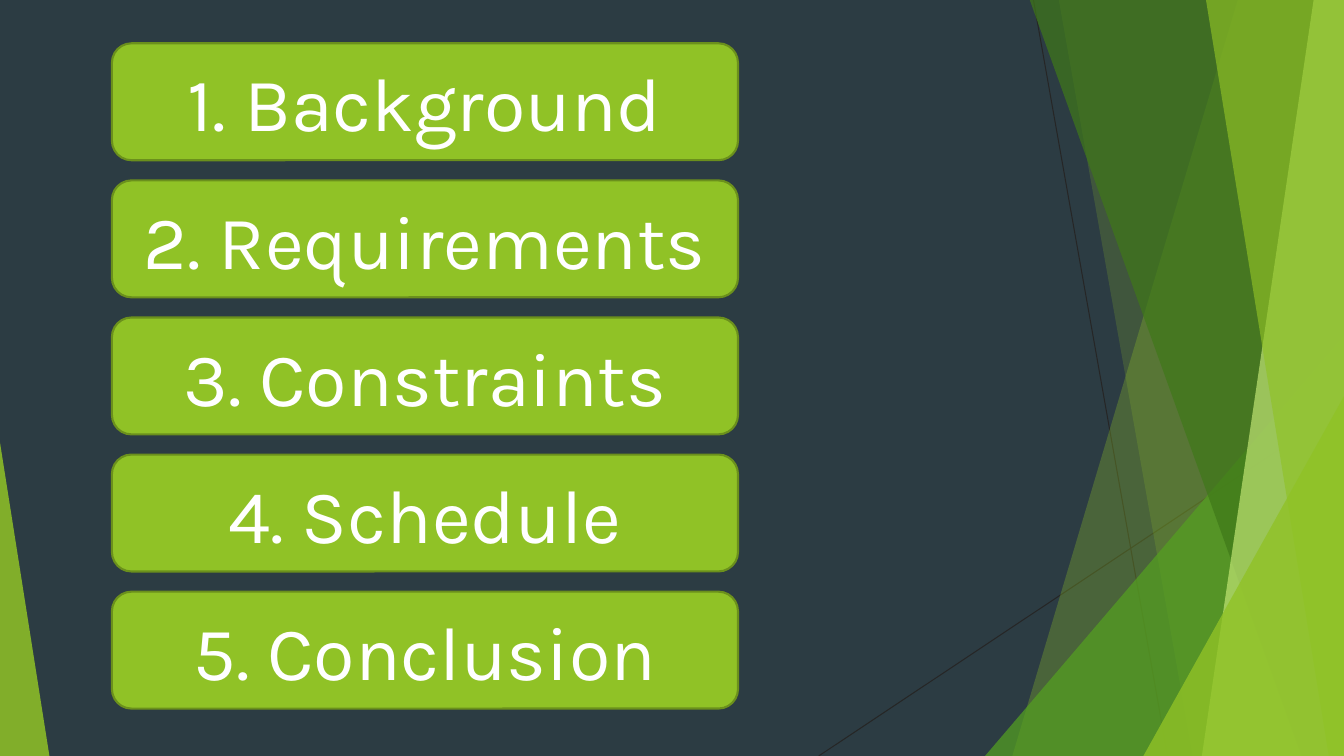
from lxml import etree
from pptx import Presentation
from pptx.dml.color import RGBColor
from pptx.enum import shapes, text
from pptx.oxml import ns
from pptx.util import Inches, Pt

COLORS = {
    "background": "2C3C43",
    "hairline": "262626",
    "lime": "90C226",
    "green": "54A021",
    "forest": "3F7819",
    "pale": "C0E474",
    "border": "6B901C",
    "text": "FFFFFF",
}
WIDTH, HEIGHT = 13.33, 7.5
BAND_TOP = -0.01


def color(name):
    return RGBColor.from_string(COLORS[name])


def fill_translucent(shape, name, opacity):
    """Give a borderless, shadowless fill with the opacity in percent."""
    shape.shadow.inherit = False
    shape.line.fill.background()
    shape.fill.solid()
    shape.fill.fore_color.rgb = color(name)
    rgb = shape.fill._xPr.find(".//" + ns.qn("a:srgbClr"))
    etree.SubElement(rgb, ns.qn("a:alpha"), val=str(opacity * 1000))


presentation = Presentation()
presentation.slide_width = Inches(WIDTH)
presentation.slide_height = Inches(HEIGHT)
slide = presentation.slides.add_slide(presentation.slide_layouts[6])
slide.background.fill.solid()
slide.background.fill.fore_color.rgb = color("background")

# Hairlines behind the facets
for x1, y1, x2, y2 in [(10.25, 0, 11.58, HEIGHT), (WIDTH, 4.03, 8.12, HEIGHT)]:
    hairline = slide.shapes.add_connector(
        shapes.MSO_CONNECTOR.STRAIGHT, Inches(x1), Inches(y1), Inches(x2), Inches(y2))
    hairline.line.color.rgb = color("hairline")
    hairline.line.width = Pt(0.75)
    etree.SubElement(hairline._element.spPr, ns.qn("a:effectLst"))

# Facets from back to front. A band reaches from its slanted left side to the
# right edge; a triangle stands on the bottom edge with its apex at 0 or 1.
facets = [
    ("band", 12.28, 10.04, "lime", 30),
    ("band", 10.5, 11.83, "lime", 20),
    ("triangle", 9.77, 3.33, 3.56, 1, "green", 72),
    ("band", 10.21, 12.91, "forest", 70),
    ("band", 13.03, 11.92, "pale", 70),
    ("band", 11.96, 13.18, "lime", 65),
    ("triangle", 11.34, 3.93, 1.99, 1, "lime", 80),
    ("triangle", 0, 4.39, 0.49, 0, "lime", 85),
]
for kind, *geometry, fill, opacity in facets:
    if kind == "band":
        top_x, bottom_x = geometry
        builder = slide.shapes.build_freeform(Inches(top_x), Inches(BAND_TOP))
        corners = [(WIDTH, BAND_TOP), (WIDTH, HEIGHT), (bottom_x, HEIGHT)]
        builder.add_line_segments([(Inches(x), Inches(y)) for x, y in corners])
        facet = builder.convert_to_shape()
    else:
        left, top, width, apex = geometry
        facet = slide.shapes.add_shape(
            shapes.MSO_SHAPE.ISOSCELES_TRIANGLE,
            Inches(left), Inches(top), Inches(width), Inches(HEIGHT - top))
        facet.adjustments[0] = apex
    fill_translucent(facet, fill, opacity)

# Agenda buttons
topics = ["Background", "Requirements", "Constraints", "Schedule", "Conclusion"]
for index, topic in enumerate(topics):
    button = slide.shapes.add_shape(
        shapes.MSO_SHAPE.ROUNDED_RECTANGLE,
        Inches(1.11), Inches(0.43 + index * 1.36), Inches(6.21), Inches(1.16))
    button.shadow.inherit = False
    button.fill.solid()
    button.fill.fore_color.rgb = color("lime")
    button.line.color.rgb = color("border")
    button.line.width = Pt(1.5)
    button.text_frame.vertical_anchor = text.MSO_ANCHOR.MIDDLE
    paragraph = button.text_frame.paragraphs[0]
    paragraph.alignment = text.PP_ALIGN.CENTER
    run = paragraph.add_run()
    run.text = f"{index + 1}. {topic}"
    run.font.name = "Karla"
    run.font.size = Pt(54)
    run.font.color.rgb = color("text")

presentation.save("out.pptx")
